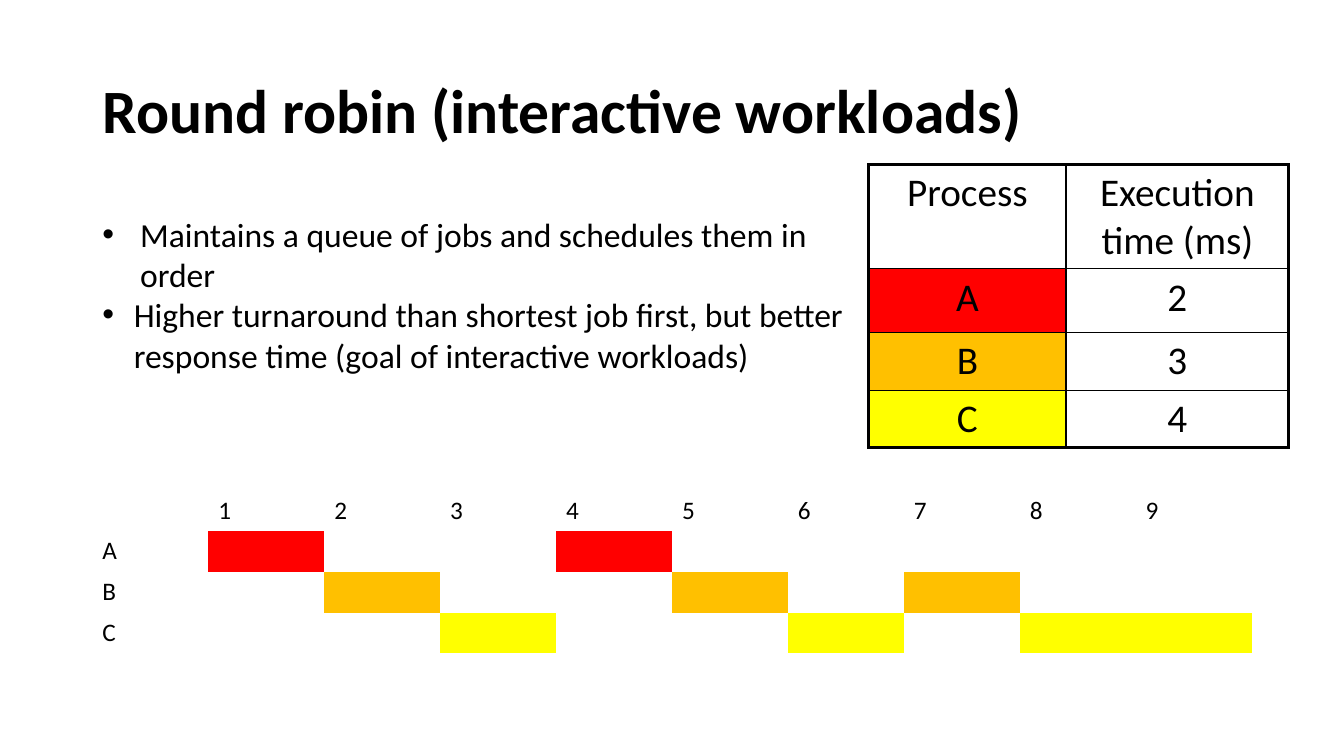
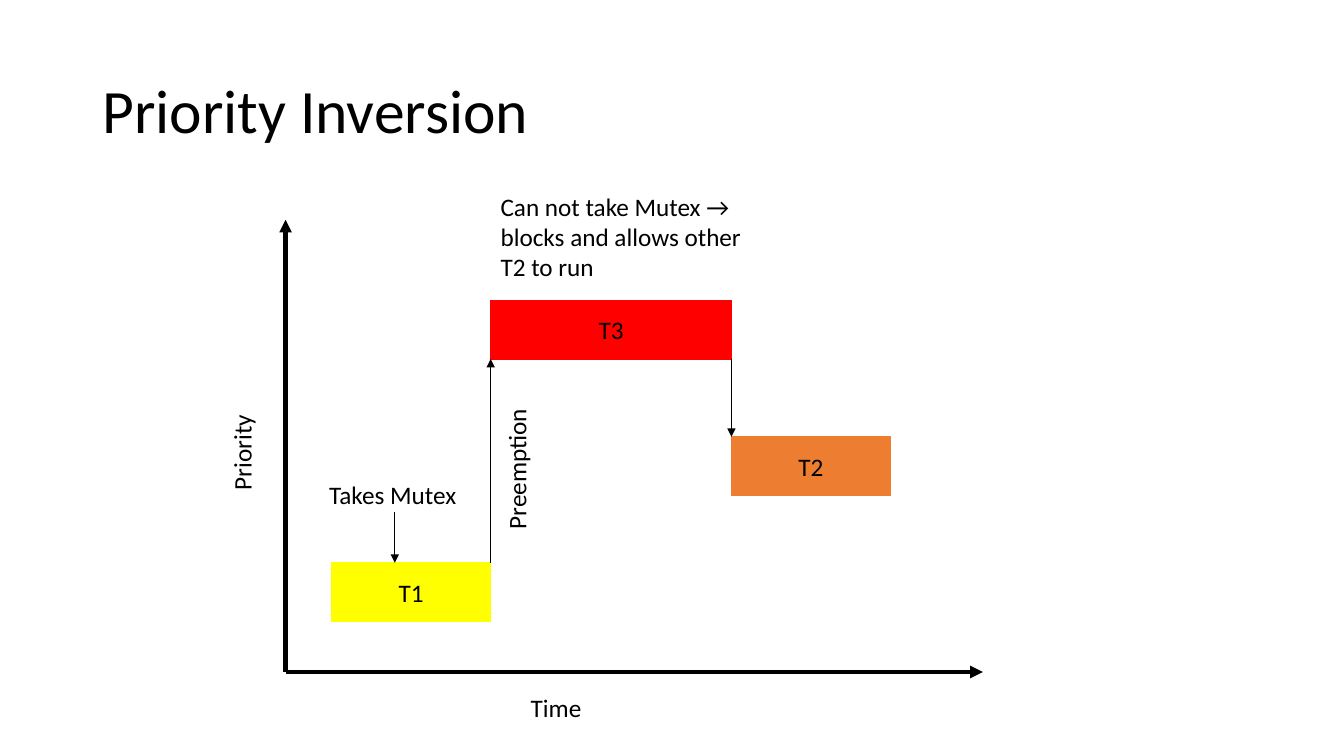
from lxml.etree import SubElement
from pptx import Presentation
from pptx.dml.color import RGBColor
from pptx.enum.shapes import MSO_CONNECTOR, MSO_SHAPE
from pptx.enum.text import MSO_ANCHOR, PP_ALIGN
from pptx.oxml.ns import qn
from pptx.util import Pt

FONT = "Calibri"
BLACK = RGBColor(0, 0, 0)
RED = RGBColor(0xFF, 0, 0)
AMBER = RGBColor(0xFF, 0xC0, 0)
YELLOW = RGBColor(0xFF, 0xFF, 0)
ORANGE = RGBColor(0xED, 0x7D, 0x31)

NO_STYLE_NO_GRID = "{2D5ABB26-0587-4C30-8999-92F81FD0307C}"
LEFT, CONTENT_WIDTH = 66, 828
PROCESS_COLOURS = {"A": RED, "B": AMBER, "C": YELLOW}


def style(paragraph, size, bold=False, align=PP_ALIGN.LEFT):
    paragraph.alignment = align
    font = paragraph.font
    font.name, font.size, font.bold = FONT, Pt(size), bold
    font.color.rgb = BLACK


def add_titled_slide(deck, heading, bold=False):
    slide = deck.slides.add_slide(deck.slide_layouts[5])
    title = slide.shapes.title
    title.left, title.top = Pt(LEFT), Pt(29)
    title.width, title.height = Pt(CONTENT_WIDTH), Pt(104)
    title.text_frame.text = heading
    title.text_frame.vertical_anchor = MSO_ANCHOR.MIDDLE
    paragraph = title.text_frame.paragraphs[0]
    style(paragraph, 44, bold)
    paragraph.line_spacing = 0.9
    return slide


def add_label(slide, text, x, y, width, height=29, rotation=0, wrap=True):
    label = slide.shapes.add_textbox(Pt(x), Pt(y), Pt(width), Pt(height))
    label.rotation = rotation
    label.text_frame.word_wrap = wrap
    label.text_frame.text = text
    style(label.text_frame.paragraphs[0], 18)


def add_bullets(slide, items, x, y, width, height):
    """Place bulleted lines, given as (text, hanging indent) pairs."""
    frame = slide.shapes.add_textbox(Pt(x), Pt(y), Pt(width), Pt(height)).text_frame
    frame.word_wrap = True
    for index, (text, indent) in enumerate(items):
        paragraph = frame.add_paragraph() if index else frame.paragraphs[0]
        paragraph.text = text
        style(paragraph, 24)
        properties = paragraph._p.get_or_add_pPr()
        properties.set("marL", str(Pt(indent)))
        properties.set("indent", str(-Pt(indent)))
        bullet_font = properties.makeelement(qn("a:buFont"), {"typeface": "Arial"})
        bullet = properties.makeelement(qn("a:buChar"), {"char": "•"})
        properties.insert(0, bullet_font)
        properties.insert(1, bullet)


def add_plain_table(slide, x, y, widths, heights):
    table = slide.shapes.add_table(
        len(heights), len(widths), Pt(x), Pt(y), Pt(sum(widths)), Pt(sum(heights))
    ).table
    table.first_row = table.horz_banding = False
    table._tbl.tblPr.find(qn("a:tableStyleId")).text = NO_STYLE_NO_GRID
    for column, width in zip(table.columns, widths):
        column.width = Pt(width)
    for row, height in zip(table.rows, heights):
        row.height = Pt(height)
    return table


def fill_cell(cell, text, size, colour=None, align=PP_ALIGN.LEFT):
    cell.text = text
    style(cell.text_frame.paragraphs[0], size, align=align)
    if colour is None:
        cell.fill.background()
    else:
        cell.fill.solid()
        cell.fill.fore_color.rgb = colour


def add_cell_borders(cell, widths):
    properties = cell._tc.get_or_add_tcPr()
    for side, width in zip("LRTB", widths):
        line = SubElement(properties, qn(f"a:ln{side}"), w=str(Pt(width)))
        solid = SubElement(line, qn("a:solidFill"))
        SubElement(solid, qn("a:srgbClr"), val=str(BLACK))


def add_process_table(slide, x, y):
    rows = [("Process", "Execution\vtime (ms)"), ("A", "2"), ("B", "3"), ("C", "4")]
    table = add_plain_table(slide, x, y, [141, 159], [71.5, 45.5, 41.5, 36])
    last = len(rows) - 1
    outer, inner = 2.25, 1
    for r, texts in enumerate(rows):
        for c, text in enumerate(texts):
            cell = table.cell(r, c)
            on_edge = (c == 0, c == 1, r == 0, r == last)
            add_cell_borders(cell, [outer if edge else inner for edge in on_edge])
            fill_cell(cell, text, 28, PROCESS_COLOURS.get(text), PP_ALIGN.CENTER)


def add_schedule(slide, x, y, width, height):
    """Draw one row per process, coloured in each time slot where it runs."""
    slots = "ABCABCBCC"
    columns, rows = len(slots) + 1, len(PROCESS_COLOURS) + 1
    table = add_plain_table(
        slide, x, y, [width / columns] * columns, [height / rows] * rows
    )
    fill_cell(table.cell(0, 0), "", 18)
    for r, (process, colour) in enumerate(PROCESS_COLOURS.items(), 1):
        fill_cell(table.cell(r, 0), process, 18)
        for c, running in enumerate(slots, 1):
            fill_cell(table.cell(r, c), "", 18, colour if running == process else None)
    for c in range(1, columns):
        fill_cell(table.cell(0, c), str(c), 18)


def add_arrow(slide, x1, y1, x2, y2, weight=0.5):
    arrow = slide.shapes.add_connector(
        MSO_CONNECTOR.STRAIGHT, Pt(x1), Pt(y1), Pt(x2), Pt(y2)
    )
    arrow.line.color.rgb = BLACK
    arrow.line.width = Pt(weight)
    SubElement(arrow.line._get_or_add_ln(), qn("a:tailEnd"), type="triangle")
    SubElement(arrow._element.spPr, qn("a:effectLst"))


def add_task(slide, name, colour, x, y, width, height):
    task = slide.shapes.add_shape(
        MSO_SHAPE.RECTANGLE, Pt(x), Pt(y), Pt(width), Pt(height)
    )
    task.shadow.inherit = False
    task.fill.solid()
    task.fill.fore_color.rgb = task.line.color.rgb = colour
    task.line.width = Pt(0.5)
    frame = task.text_frame
    frame.word_wrap = False
    frame.vertical_anchor = MSO_ANCHOR.MIDDLE
    frame.text = name
    style(frame.paragraphs[0], 18, align=PP_ALIGN.CENTER)


def add_priority_diagram(slide, x, y, width, height):
    """Draw axes along the left and bottom of the box, and the tasks inside."""
    bottom = y + height
    add_arrow(slide, x, bottom, x, y, 3)
    add_arrow(slide, x, bottom, x + width, bottom, 3)
    add_label(slide, "Priority", x - 66.5, y + 150.5, 70.5, rotation=270, wrap=False)
    add_label(slide, "Time", x + 168, bottom + 11, 51, wrap=False)

    # Each task starts where the one before it ends.
    task_height = 42
    t1_left, t1_top = x + 33, y + 245
    t3_left, t3_top = t1_left + 113.5, y + 57.5
    t2_left, t2_top = t3_left + 172, y + 155
    add_task(slide, "T1", YELLOW, t1_left, t1_top, 113.5, task_height)
    add_task(slide, "T3", RED, t3_left, t3_top, 172, task_height)
    add_task(slide, "T2", ORANGE, t2_left, t2_top, 113.5, task_height)

    t3_bottom = t3_top + task_height
    add_arrow(slide, t1_left + 45, t1_top - 36, t1_left + 45, t1_top)
    add_arrow(slide, t3_left, t1_top, t3_left, t3_bottom)
    add_arrow(slide, t2_left, t3_bottom, t2_left, t2_top)
    add_label(slide, "Takes Mutex", t1_left - 9, t1_top - 63, 129)
    add_label(slide, "Preemption", t3_left - 68.5, t3_bottom + 27, 174, rotation=270)
    add_label(
        slide,
        "Can not take Mutex → blocks and allows other T2 to run",
        t3_left, t3_top - 81.5, 191, 73,
    )


def build_round_robin(deck):
    slide = add_titled_slide(deck, "Round robin (interactive workloads)", bold=True)
    add_schedule(slide, LEFT, 350, CONTENT_WIDTH, 116.8)
    bullets = [
        ("Maintains a queue of jobs and schedules them in order", 27),
        (
            "Higher turnaround than shortest job first, but better "
            "response time (goal of interactive workloads)",
            22.5,
        ),
    ]
    add_bullets(slide, bullets, LEFT, 149, 554.5, 153)
    add_process_table(slide, 620.5, 117.5)


def build_priority_inversion(deck):
    slide = add_titled_slide(deck, "Priority Inversion")
    add_priority_diagram(slide, 204, 157, 498, 323)


def main():
    deck = Presentation()
    deck.slide_width, deck.slide_height = Pt(960), Pt(540)
    build_round_robin(deck)
    build_priority_inversion(deck)
    deck.save("out.pptx")


if __name__ == "__main__":
    main()
